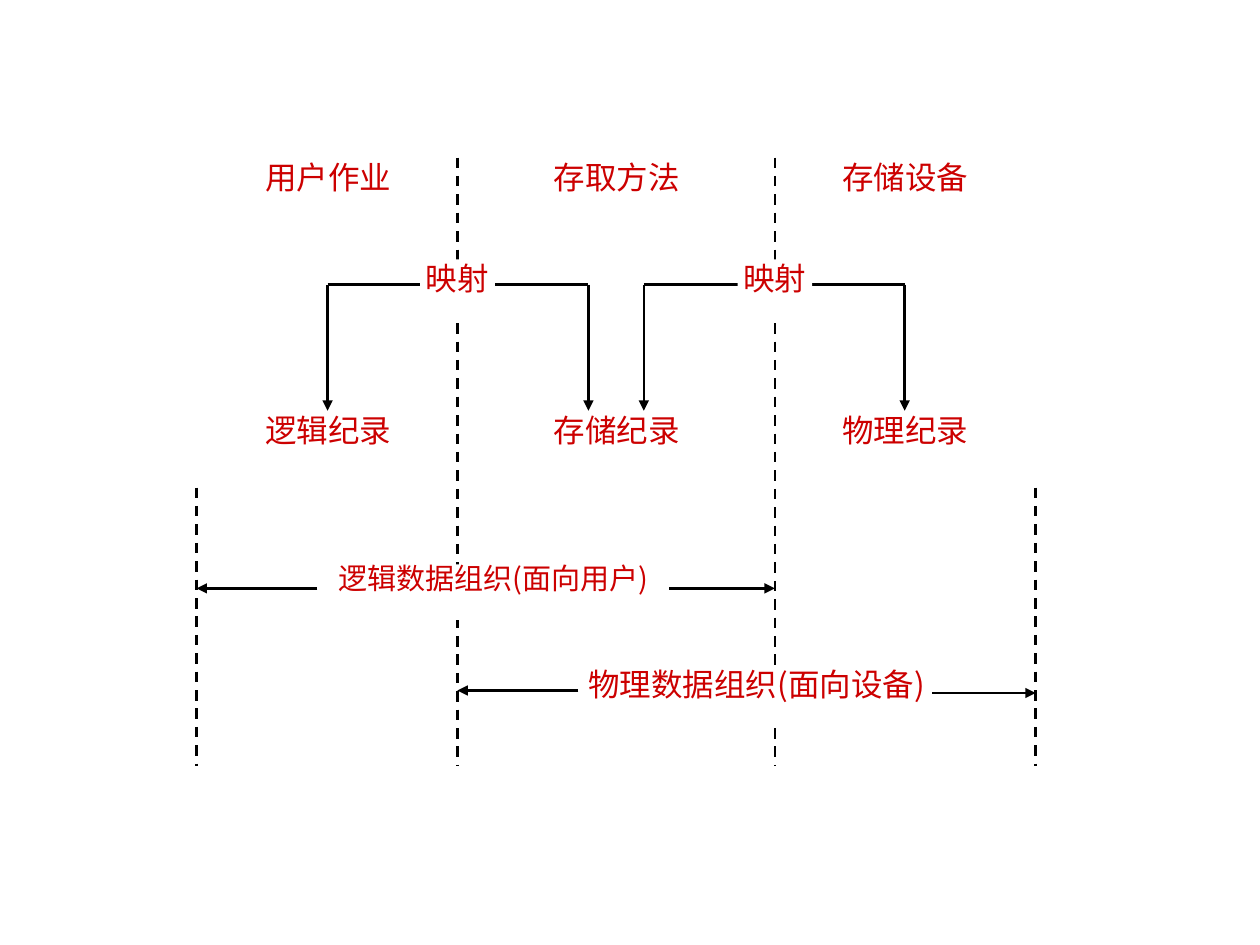
from typing import NamedTuple

from lxml.etree import SubElement
from pptx import Presentation
from pptx.dml.color import RGBColor
from pptx.enum.dml import MSO_LINE
from pptx.enum.shapes import MSO_CONNECTOR, MSO_SHAPE
from pptx.enum.text import MSO_ANCHOR, PP_ALIGN
from pptx.oxml.ns import qn
from pptx.util import Inches, Length, Pt

FACE = "Noto Sans CJK JP"
RED, BLACK, WHITE = "CC0000", "000000", "FFFFFF"
COLS, ROWS = 100, 75  # grid over the whole slide

# Columns of the four dashed borders, and rows shared by several parts
LEFT, USER, STORE, RIGHT = 15.6, 36.3, 61.5, 82.2
TOP, FORK, TIP, MID, LOW = 12.5, 22.6, 32.6, 38.7, 60.8


class Label(NamedTuple):
    text: str
    col: float
    row: float
    wide: float
    high: float
    size: float = 18
    space: float = 1


class Line(NamedTuple):
    col: float
    row: float
    to_col: float
    to_row: float
    dash: bool = False
    arrow: bool = False
    width: float = 1.5


class Fork(NamedTuple):
    """A mapping label whose two arms drop to records."""
    mid: float
    ends: tuple[float, float]


FORKS = [Fork(USER, (26, 46.7)), Fork(STORE, (51.1, 71.8))]
GAP = 2.95  # half the width of a mapping label

HEADS = ["用户作业", "存取方法", "存储设备"]
RECORDS = ["逻辑纪录", "存储纪录", "物理纪录"]
SLOTS = [(20.8, 10.5), (43.9, 10.1), (66.8, 10.1)]

BORDERS = [Line(col, row, col, LOW, dash=True) for col, row in
           [(LEFT, MID), (USER, TOP), (STORE, TOP), (RIGHT, MID)]]

SPANS = [
    Label("逻辑数据组织(面向用户)", 25.2, 44.8, 27.9, 4.4, 16.6, 0.9),
    Label("物理数据组织(面向设备)", 45.6, 52.8, 28.9, 4.7),
]
ARROWS = [
    Line(25.2, 46.7, LEFT, 46.7, arrow=True),
    Line(53.1, 46.7, STORE, 46.7, arrow=True),
    Line(45.9, 54.8, USER, 54.8, arrow=True),
    Line(74, 55, RIGHT, 55, arrow=True, width=0.75),
]

deck = Presentation()
deck.slide_width, deck.slide_height = Inches(10), Inches(7.5)
slide = deck.slides.add_slide(deck.slide_layouts[6])


def x(col: float) -> Length:
    return Length(round(deck.slide_width * col / COLS))


def y(row: float) -> Length:
    return Length(round(deck.slide_height * row / ROWS))


def rgb(code: str) -> RGBColor:
    return RGBColor.from_string(code)


def apply(item: object, values: dict) -> None:
    for name, value in values.items():
        setattr(item, name, value)


def write(label: Label) -> None:
    box = slide.shapes.add_shape(MSO_SHAPE.RECTANGLE, x(label.col),
                                 y(label.row), x(label.wide), y(label.high))
    box.shadow.inherit = False
    box.fill.solid()
    box.fill.fore_color.rgb = rgb(WHITE)
    box.line.fill.background()
    frame = box.text_frame
    apply(frame, dict(margin_left=0, margin_right=0, margin_top=0,
                      margin_bottom=0, word_wrap=False,
                      vertical_anchor=MSO_ANCHOR.TOP))
    para = frame.paragraphs[0]
    apply(para, dict(alignment=PP_ALIGN.CENTER, line_spacing=label.space))
    run = para.add_run()
    run.text = label.text
    apply(run.font, dict(size=Pt(label.size), name=FACE))
    run.font.color.rgb = rgb(RED)
    SubElement(run.font._element, qn("a:ea"), typeface=FACE)


def draw(line: Line) -> None:
    link = slide.shapes.add_connector(
        MSO_CONNECTOR.STRAIGHT, x(line.col), y(line.row),
        x(line.to_col), y(line.to_row))
    link.line.width = Pt(line.width)
    link.line.color.rgb = rgb(BLACK)
    if line.dash:
        link.line.dash_style = MSO_LINE.DASH
    if line.arrow:
        SubElement(link.line._get_or_add_ln(), qn("a:tailEnd"),
                   type="triangle")
    SubElement(link._element.spPr, qn("a:effectLst"))


def split(fork: Fork) -> None:
    for end, side in zip(fork.ends, (-GAP, GAP)):
        draw(Line(end, FORK, fork.mid + side, FORK))
        draw(Line(end, FORK, end, TIP, arrow=True))
    write(Label("映射", fork.mid - GAP, 20.6, 2 * GAP, 4.4))


def main() -> None:
    for texts, row, high in [(HEADS, TOP, 4.2), (RECORDS, TIP, 4.8)]:
        for text, (col, wide) in zip(texts, SLOTS):
            write(Label(text, col, row, wide, high))
    for border in BORDERS:
        draw(border)
    for fork in FORKS:
        split(fork)
    for span in SPANS:
        write(span)
    for arrow in ARROWS:
        draw(arrow)
    deck.save("out.pptx")


if __name__ == "__main__":
    main()
